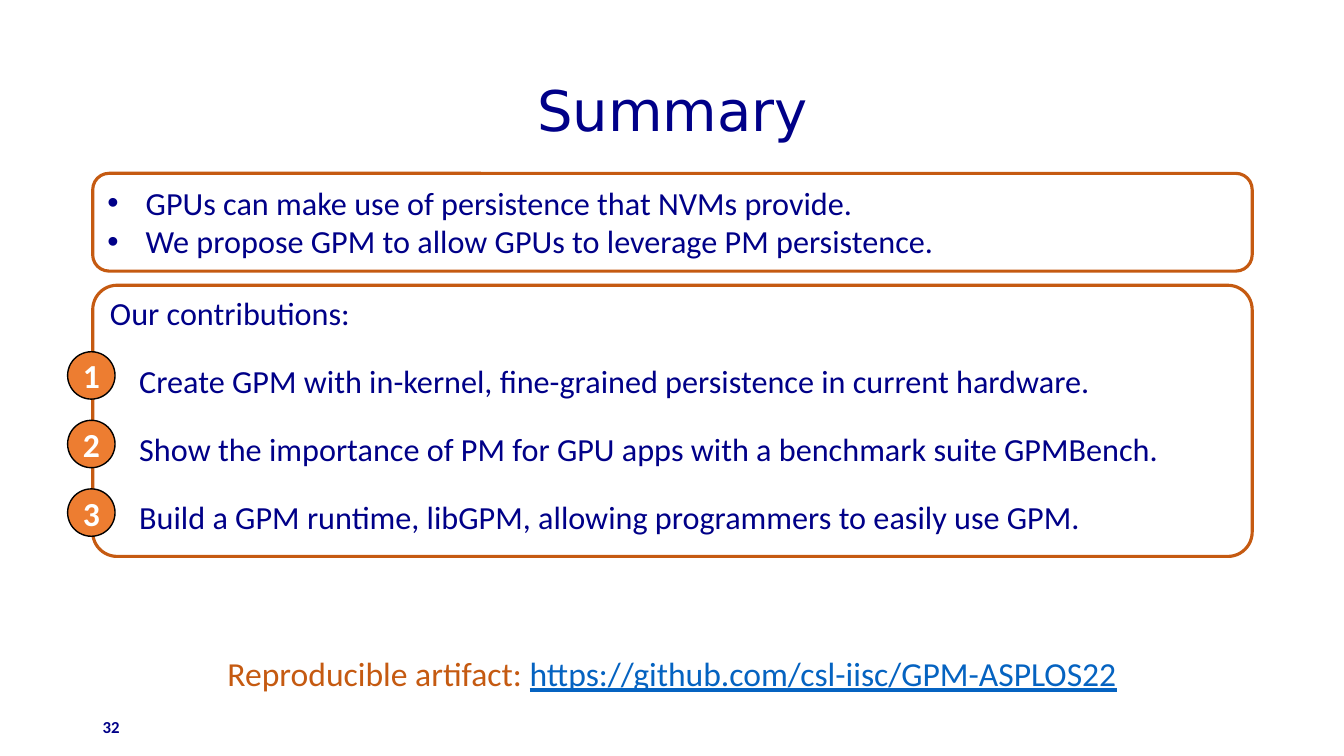
from dataclasses import dataclass

from lxml import etree
from pptx import Presentation
from pptx import util as u
from pptx.dml.color import RGBColor
from pptx.enum import shapes, text
from pptx.oxml import ns

TITLE = "Summary"
PROPOSAL = [
    "GPUs can make use of persistence that NVMs provide.",
    "We propose GPM to allow GPUs to leverage PM persistence.",
]
CONTRIBUTIONS_LEAD = "Our contributions:"
CONTRIBUTIONS = [
    "Create GPM with in-kernel, fine-grained persistence in current hardware.",
    "Show the importance of PM for GPU apps with a benchmark suite GPMBench.",
    "Build a GPM runtime, libGPM, allowing programmers to easily use GPM.",
]
ARTIFACT_LABEL = "Reproducible artifact: "
ARTIFACT_ADDRESS = "https://github.com/csl-iisc/GPM-ASPLOS22"
PAGE = "32"

LEFT, WIDTH = 6.9, 86.27
PLACES = {
    "title": (LEFT, 5.33, WIDTH, 19.33),
    "proposal": (LEFT, 22.93, WIDTH, 12.93),
    "contributions": (LEFT, 37.73, WIDTH, 35.87),
    "artifact": (15.83, 85.73, 68.34, 6.67),
    "page": (LEFT, 93.47, 22.5, 5.33),
    "badge": (5.03, 46.53, 3.53, 6.27),
}
BADGE_STEP = 9.07


@dataclass(frozen=True)
class Theme:
    navy: str = "000088"
    rust: str = "C55A11"
    orange: str = "ED7D31"
    link: str = "0563C1"
    white: str = "FFFFFF"
    black: str = "000000"
    heading_font: str = "DejaVu Sans"
    body_font: str = "Calibri"
    heading: int = 40
    body: int = 23
    accent: int = 24
    small: int = 12


theme = Theme()
deck = Presentation()
deck.slide_width, deck.slide_height = u.Inches(13.33), u.Inches(7.5)
slide = deck.slides.add_slide(deck.slide_layouts[1])


def box(part, row=0):
    left, top, width, height = PLACES[part]
    return [
        round(side * share / 100)
        for side, share in zip(
            (deck.slide_width, deck.slide_height) * 2,
            (left, top + row * BADGE_STEP, width, height),
        )
    ]


def place(holder, part):
    holder.left, holder.top, holder.width, holder.height = box(part)


def write(paragraph, words, size, color, font=theme.body_font, bold=False, underline=False):
    run = paragraph.add_run()
    run.text = words
    run.font.name, run.font.size = font, u.Pt(size)
    run.font.bold, run.font.underline = bold, underline
    run.font.color.rgb = RGBColor.from_string(color)


def outline(part, color, width):
    part.line.color.rgb = RGBColor.from_string(color)
    part.line.width = u.Pt(width)


def indent(paragraph, margin, hanging=0, bullet=None):
    props = paragraph._p.get_or_add_pPr()
    props.set("marL", str(u.Inches(margin)))
    props.set("indent", str(u.Inches(hanging)))
    if bullet:
        face = etree.SubElement(props, ns.qn("a:buFont"))
        face.set("typeface", "Arial")
        etree.SubElement(props, ns.qn("a:buChar")).set("char", bullet)
    else:
        etree.SubElement(props, ns.qn("a:buNone"))


def paragraphs(frame, lines):
    for number, line in enumerate(lines):
        yield (frame.add_paragraph() if number else frame.paragraphs[0]), line


def round_corners(holder, ratio):
    geometry = etree.Element(ns.qn("a:prstGeom"), prst="roundRect")
    guides = etree.SubElement(geometry, ns.qn("a:avLst"))
    etree.SubElement(guides, ns.qn("a:gd"), name="adj", fmla=f"val {round(ratio * 100000)}")
    holder._element.spPr.find(ns.qn("a:xfrm")).addnext(geometry)


def add_title():
    title = slide.shapes.title
    place(title, "title")
    frame = title.text_frame
    frame.auto_size = text.MSO_AUTO_SIZE.NONE
    frame.vertical_anchor = text.MSO_ANCHOR.MIDDLE
    heading = frame.paragraphs[0]
    heading.alignment, heading.line_spacing = text.PP_ALIGN.CENTER, 0.9
    write(heading, TITLE, theme.heading, theme.navy, theme.heading_font)


def add_contributions():
    body = slide.placeholders[1]
    place(body, "contributions")
    round_corners(body, 0.09)
    outline(body, theme.rust, 2.25)
    frame = body.text_frame
    frame.auto_size = text.MSO_AUTO_SIZE.NONE
    for paragraph, line in paragraphs(frame, [CONTRIBUTIONS_LEAD, *CONTRIBUTIONS]):
        lead = line == CONTRIBUTIONS_LEAD
        paragraph.line_spacing = 0.9 if lead else 1.4
        paragraph.space_before = u.Pt(0 if lead else 10)
        indent(paragraph, 0 if lead else 0.29)
        write(paragraph, line, theme.body, theme.navy)


def add_proposal():
    proposal = slide.shapes.add_shape(shapes.MSO_SHAPE.ROUNDED_RECTANGLE, *box("proposal"))
    proposal.shadow.inherit = False
    proposal.fill.background()
    outline(proposal, theme.rust, 2.25)
    frame = proposal.text_frame
    frame.word_wrap = True
    frame.vertical_anchor = text.MSO_ANCHOR.TOP
    for paragraph, line in paragraphs(frame, PROPOSAL):
        paragraph.alignment = text.PP_ALIGN.LEFT
        indent(paragraph, 0.38, -0.38, "•")
        write(paragraph, line, theme.body, theme.navy)


def add_artifact():
    frame = slide.shapes.add_textbox(*box("artifact")).text_frame
    frame.word_wrap = False
    artifact = frame.paragraphs[0]
    artifact.alignment = text.PP_ALIGN.CENTER
    write(artifact, ARTIFACT_LABEL, theme.accent, theme.rust)
    write(artifact, ARTIFACT_ADDRESS, theme.accent, theme.link, underline=True)


def add_page():
    frame = slide.shapes.add_textbox(*box("page")).text_frame
    frame.word_wrap = True
    frame.vertical_anchor = text.MSO_ANCHOR.MIDDLE
    write(frame.paragraphs[0], PAGE, theme.small, theme.navy, bold=True)


def add_badge(row):
    badge = slide.shapes.add_shape(shapes.MSO_SHAPE.OVAL, *box("badge", row))
    badge.shadow.inherit = False
    badge.fill.solid()
    badge.fill.fore_color.rgb = RGBColor.from_string(theme.orange)
    outline(badge, theme.black, 1)
    frame = badge.text_frame
    frame.margin_left = frame.margin_right = frame.margin_top = frame.margin_bottom = 0
    frame.word_wrap = False
    frame.vertical_anchor = text.MSO_ANCHOR.MIDDLE
    frame.paragraphs[0].alignment = text.PP_ALIGN.CENTER
    write(frame.paragraphs[0], str(row + 1), theme.accent, theme.white, bold=True)


def main():
    add_title()
    add_contributions()
    add_proposal()
    add_artifact()
    add_page()
    for row in range(len(CONTRIBUTIONS)):
        add_badge(row)
    deck.save("out.pptx")


if __name__ == "__main__":
    main()
